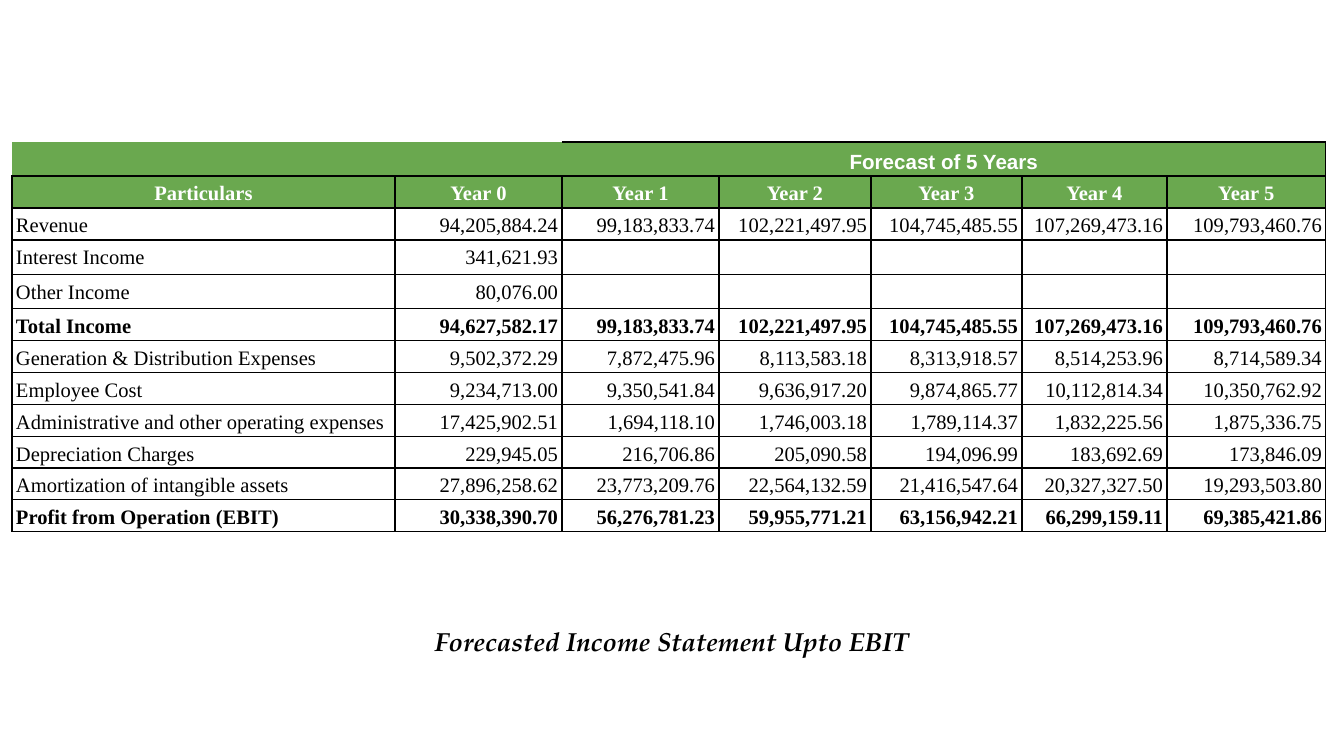
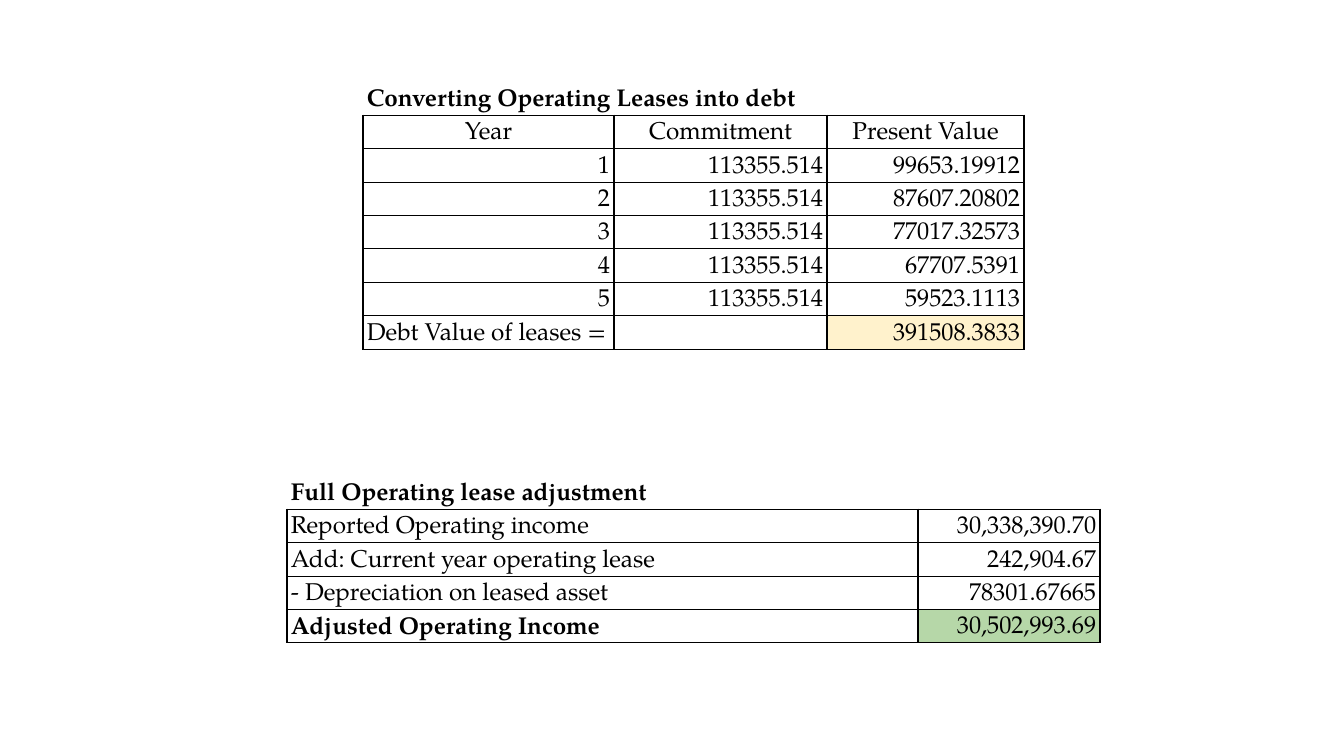
from lxml import etree
from pptx import Presentation
from pptx.dml.color import RGBColor
from pptx.enum import text
from pptx.oxml.ns import qn
from pptx.util import Emu, Pt

# Content
INCOME = {
    "at": (12, 142), "cols": (383, 167, 157, 152, 151, 145, 159),
    "row_h": 32, "odd_rows": {0: 34, 3: 35, 4: 34, 9: 31},
    "font": "serif", "size": "small", "anchor": text.MSO_ANCHOR.TOP,
    "spacing": 1.15, "pad": (3, 2),
    # first column, last column, text, sides with a border
    "bands": [(0, 1, "", "B"), (2, 6, "Forecast of 5 Years", "RTB")],
    "band_style": {"fill": "green", "color": "white", "font": "sans", "align": "c"},
    "head": ("Particulars", "Year 0", "Year 1", "Year 2", "Year 3", "Year 4", "Year 5"),
    "head_style": {"fill": "green", "color": "white", "bold": True},
    "rows": [
        ("Revenue", "94,205,884.24", "99,183,833.74", "102,221,497.95",
         "104,745,485.55", "107,269,473.16", "109,793,460.76"),
        ("Interest Income", "341,621.93", "", "", "", "", ""),
        ("Other Income", "80,076.00", "", "", "", "", ""),
        ("Total Income", "94,627,582.17", "99,183,833.74", "102,221,497.95",
         "104,745,485.55", "107,269,473.16", "109,793,460.76"),
        ("Generation & Distribution Expenses", "9,502,372.29", "7,872,475.96", "8,113,583.18",
         "8,313,918.57", "8,514,253.96", "8,714,589.34"),
        ("Employee Cost", "9,234,713.00", "9,350,541.84", "9,636,917.20",
         "9,874,865.77", "10,112,814.34", "10,350,762.92"),
        ("Administrative and other operating expenses", "17,425,902.51", "1,694,118.10",
         "1,746,003.18", "1,789,114.37", "1,832,225.56", "1,875,336.75"),
        ("Depreciation Charges", "229,945.05", "216,706.86", "205,090.58",
         "194,096.99", "183,692.69", "173,846.09"),
        ("Amortization of intangible assets", "27,896,258.62", "23,773,209.76", "22,564,132.59",
         "21,416,547.64", "20,327,327.50", "19,293,503.80"),
        ("Profit from Operation (EBIT)", "30,338,390.70", "56,276,781.23", "59,955,771.21",
         "63,156,942.21", "66,299,159.11", "69,385,421.86"),
    ],
    "bold_rows": ("Total Income", "Profit from Operation (EBIT)"),
}
CAPTION = "Forecasted Income Statement Upto EBIT"

COMMITMENT = "113355.514"
PRESENT_VALUES = ("99653.19912", "87607.20802", "77017.32573", "67707.5391", "59523.1113")
LEASE_LOOK = {"row_h": 33, "odd_rows": {2: 34, 5: 34, 7: 34}, "font": "book", "size": "medium",
              "anchor": text.MSO_ANCHOR.BOTTOM, "spacing": 1.0, "pad": (2, 2)}
LEASE_DEBT = LEASE_LOOK | {
    "at": (363, 82), "cols": (251, 213, 197),
    "bands": [(0, 2, "Converting Operating Leases into debt", "B")],
    "head": ("Year", "Commitment", "Present Value"),
    "rows": [(str(year), COMMITMENT, value) for year, value in enumerate(PRESENT_VALUES, 1)]
            + [("Debt Value of leases =", "", "391508.3833")],
    "total_fill": "cream",
}
LEASE_ADJUSTMENT = LEASE_LOOK | {
    "at": (287, 476), "cols": (631, 182),
    "bands": [(0, 1, "Full Operating lease adjustment", "B")],
    "rows": [
        ("Reported Operating income", "30,338,390.70"),
        ("Add: Current year operating lease", "242,904.67"),
        ("- Depreciation on leased asset", "78301.67665"),
        ("Adjusted Operating Income", "30,502,993.69"),
    ],
    "bold_labels": ("Adjusted Operating Income",),
    "total_fill": "mint",
}

# Theme and scale
THEME = {
    "color": {"black": "000000", "white": "FFFFFF", "green": "6AA84F",
              "cream": "FFF2CC", "mint": "B6D7A8"},
    "font": {"serif": "Times New Roman", "sans": "Arial", "book": "TeX Gyre Pagella"},
    "size": {"small": 11, "medium": 13, "caption": 14},
    "border": 0.75,
}
ALIGN = {"l": text.PP_ALIGN.LEFT, "c": text.PP_ALIGN.CENTER, "r": text.PP_ALIGN.RIGHT}


def px(n):
    return Emu(round(n * 914400 / 134.4))


def rgb(name):
    return RGBColor.from_string(THEME["color"][name])


def set_font(p, font, size, color="black", bold=False, italic=False):
    f = p.font
    f.name, f.size = THEME["font"][font], Pt(THEME["size"][size])
    f.bold, f.italic = bold, italic
    f.color.rgb = rgb(color)


def set_borders(cell, sides):
    tcPr = cell._tc.get_or_add_tcPr()
    for side in "LRTB":
        ln = etree.SubElement(tcPr, qn(f"a:ln{side}"), w=str(Pt(THEME["border"])))
        if side in sides:
            fill = etree.SubElement(ln, qn("a:solidFill"))
            etree.SubElement(fill, qn("a:srgbClr"), val=THEME["color"]["black"])
        else:
            etree.SubElement(ln, qn("a:noFill"))


def fill_cell(cell, words, data, sides="LRTB", fill="white", align="l",
              font=None, color="black", bold=False, anchor=None):
    set_borders(cell, sides)
    cell.fill.solid()
    cell.fill.fore_color.rgb = rgb(fill)
    cell.margin_left = cell.margin_right = px(4)
    cell.margin_top, cell.margin_bottom = map(px, data["pad"])
    cell.vertical_anchor = anchor or data["anchor"]
    p = cell.text_frame.paragraphs[0]
    p.alignment, p.line_spacing = ALIGN[align], data["spacing"]
    set_font(p, font or data["font"], data["size"], color, bold)
    if words:
        p.add_run().text = words
    else:  # keeps an empty cell from growing its row
        etree.SubElement(p._p, qn("a:endParaRPr"), sz=str(THEME["size"][data["size"]] * 100))


def add_sheet(slide, data):
    heads = [data["head"]] if "head" in data else []
    body = heads + data["rows"]
    heights = [data["odd_rows"].get(i, data["row_h"]) for i in range(len(body) + 1)]
    x, y = data["at"]
    table = slide.shapes.add_table(len(heights), len(data["cols"]), px(x), px(y),
                                   px(sum(data["cols"])), px(sum(heights))).table
    table.first_row = table.horz_banding = False
    for column, width in zip(table.columns, data["cols"]):
        column.width = px(width)
    for row, height in zip(table.rows, heights):
        row.height = px(height)

    # Merged band above the grid
    for first, last, words, sides in data["bands"]:
        for c in range(first, last + 1):
            fill_cell(table.cell(0, c), words if c == first else "", data, sides, bold=True,
                      anchor=text.MSO_ANCHOR.BOTTOM, **data.get("band_style", {}))
        table.cell(0, first).merge(table.cell(0, last))

    # Column heads and figures
    for r, row in enumerate(body, 1):
        for c, words in enumerate(row):
            if r <= len(heads):
                style = {"align": "c"} | data.get("head_style", {})
            else:
                bold = row[0] in data.get("bold_rows", ()) or words in data.get("bold_labels", ())
                style = {"align": "r" if words[:1].isdigit() else "l", "bold": bold}
                if r == len(body) and c == len(row) - 1:
                    style["fill"] = data.get("total_fill", "white")
            fill_cell(table.cell(r, c), words, data, **style)


def add_caption(slide, words):
    tf = slide.shapes.add_textbox(px(197), px(612), px(950), px(59)).text_frame
    tf.word_wrap = True
    tf.margin_left = tf.margin_right = tf.margin_top = tf.margin_bottom = px(13)
    p = tf.paragraphs[0]
    p.alignment = ALIGN["c"]
    set_font(p, "book", "caption", bold=True, italic=True)
    p.add_run().text = words


def main():
    prs = Presentation()
    prs.slide_width, prs.slide_height = px(1344), px(756)
    blank = prs.slide_layouts[6]

    # Forecast income statement
    s = prs.slides.add_slide(blank)
    add_sheet(s, INCOME)
    add_caption(s, CAPTION)

    # Operating leases
    s = prs.slides.add_slide(blank)
    add_sheet(s, LEASE_DEBT)
    add_sheet(s, LEASE_ADJUSTMENT)

    prs.save("out.pptx")


if __name__ == "__main__":
    main()
